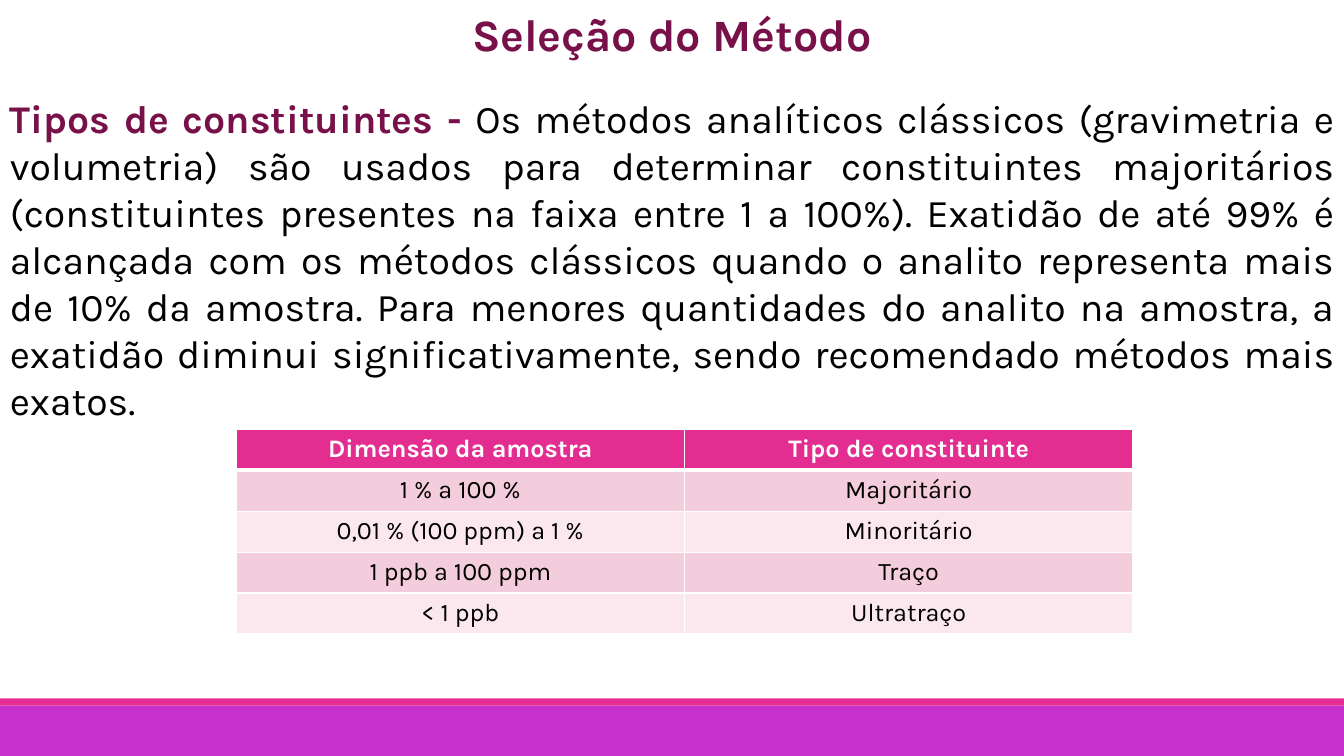
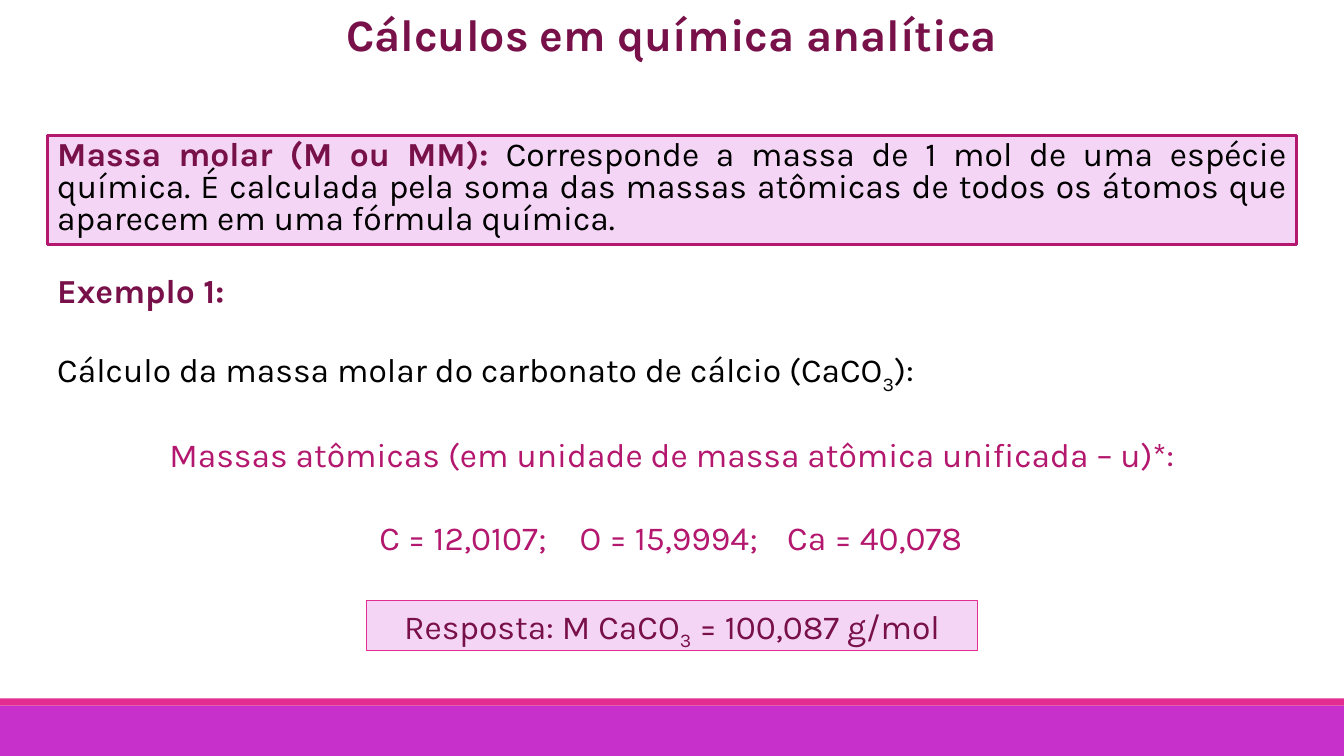
from dataclasses import dataclass
from typing import NamedTuple

from lxml import etree
from pptx import Presentation
from pptx.dml.color import RGBColor
from pptx.enum.shapes import MSO_SHAPE
from pptx.enum.text import MSO_ANCHOR, MSO_AUTO_SIZE, PP_ALIGN
from pptx.oxml.ns import qn
from pptx.util import Emu, Pt

RECT = MSO_SHAPE.RECTANGLE
TOP = MSO_ANCHOR.TOP
GROW = MSO_AUTO_SIZE.SHAPE_TO_FIT_TEXT
LEFT, MID, JUST = PP_ALIGN.LEFT, PP_ALIGN.CENTER, PP_ALIGN.JUSTIFY
SCALE = 9525
WIDE, HIGH = 1280, 720


@dataclass(frozen=True)
class Theme:
    font: str = "Karla"
    plum: str = "781049"
    berry: str = "B4186E"
    pink: str = "E32D91"
    purple: str = "C830CC"
    lilac: str = "F4D5F5"
    rose: str = "F4CDDC"
    blush: str = "FAE8EE"
    black: str = "000000"
    white: str = "FFFFFF"
    title: int = 32
    lead: int = 28
    body: int = 24
    cell: int = 18


T = Theme()


class Run(NamedTuple):
    text: str
    color: str = T.black
    bold: bool = False
    sub: bool = False


class Para(NamedTuple):
    runs: list
    align: int = JUST
    gap: int = 0
    line: float = 1.0


def px(*sizes):
    return [Emu(size * SCALE) for size in sizes]


def rgb(color):
    return RGBColor.from_string(color)


def paint(item, color):
    item.fill.solid()
    item.fill.fore_color.rgb = rgb(color)


def write(frame, size, paras):
    for i, para in enumerate(paras):
        p = frame.add_paragraph() if i else frame.paragraphs[0]
        p.alignment = para.align
        p.line_spacing = para.line
        p.space_before = Pt(para.gap)
        for part in para.runs:
            run = p.add_run()
            run.text = part.text
            font = run.font
            font.name, font.size, font.bold = T.font, Pt(size), part.bold
            font.color.rgb = rgb(part.color)
            if part.sub:
                run._r.get_or_add_rPr().set("baseline", "-25000")


def add_text(slide, place, size, paras):
    frame = slide.shapes.add_textbox(*px(*place)).text_frame
    frame.word_wrap = True
    frame.auto_size = GROW
    write(frame, size, paras)


def add_box(slide, place, fill, edge=None, width=0):
    box = slide.shapes.add_shape(RECT, *px(*place))
    box.shadow.inherit = False
    paint(box, fill)
    if edge:
        box.line.color.rgb = rgb(edge)
        box.line.width = Pt(width)
    else:
        box.line.fill.background()
    return box


def add_card(slide, place, edge, width, para):
    frame = add_box(slide, place, T.lilac, edge, width).text_frame
    frame.word_wrap = True
    frame.vertical_anchor = TOP
    frame.auto_size = GROW
    write(frame, T.body, [para])


def add_edge(cell, sides):
    props = cell._tc.get_or_add_tcPr()
    for i, (side, width) in enumerate(sides.items()):
        line = etree.Element(qn("a:ln" + side), w=str(Pt(width)))
        fill = etree.SubElement(line, qn("a:solidFill"))
        etree.SubElement(fill, qn("a:srgbClr"), val=T.white)
        props.insert(i, line)


def add_grid(slide, left, top, width, height, rows):
    count = len(rows[0])
    place = px(left, top, width * count, height * len(rows))
    grid = slide.shapes.add_table(len(rows), count, *place).table
    for r, row in enumerate(rows):
        head = r == 0
        fill = T.pink if head else (T.blush, T.rose)[r % 2]
        ink = T.white if head else T.black
        sides = {"L": 1, "R": 1, "T": 3 if r == 1 else 1, "B": 3 if head else 1}
        for c, text in enumerate(row):
            cell = grid.cell(r, c)
            paint(cell, fill)
            add_edge(cell, sides)
            write(cell.text_frame, T.cell, [Para([Run(text, ink, head)], MID)])


def add_bands(slide):
    layout = slide.slide_layout
    for holder in list(layout.placeholders):
        holder.element.getparent().remove(holder.element)
    bands = [
        add_box(slide, (0, 672, WIDE, 48), T.purple),
        add_box(slide, (0, 665, WIDE, 7), T.pink),
    ]
    for band in bands:
        layout.shapes.element.append(band.element)


def add_slide(deck, title):
    slide = deck.slides.add_slide(deck.slide_layouts[6])
    if len(deck.slides) == 1:
        add_bands(slide)
    head = Para([Run(title, T.plum, True)], MID)
    add_text(slide, (0, 2, WIDE, 61), T.title, [head])
    return slide


def show_method(deck):
    slide = add_slide(deck, "Seleção do Método")
    add_text(slide, (0, 85, WIDE, 281), T.lead, [Para([
        Run("Tipos de constituintes -", T.plum, True),
        Run(" Os métodos analíticos clássicos (gravimetria e volumetria) são "
            "usados para determinar constituintes majoritários (constituintes "
            "presentes na faixa entre 1 a 100%). Exatidão de até 99% é alcançada "
            "com os métodos clássicos quando o analito representa mais de 10% da "
            "amostra. Para menores quantidades do analito na amostra, a exatidão "
            "diminui significativamente, sendo recomendado métodos mais exatos."),
    ])])
    add_grid(slide, 225, 409, 427, 39, [
        ("Dimensão da amostra", "Tipo de constituinte"),
        ("1 % a 100 %", "Majoritário"),
        ("0,01 % (100 ppm) a 1 %", "Minoritário"),
        ("1 ppb a 100 ppm", "Traço"),
        ("< 1 ppb", "Ultratraço"),
    ])


def show_mass(deck):
    slide = add_slide(deck, "Cálculos em química analítica")
    add_card(slide, (45, 129, 1190, 104), T.berry, 2, Para([
        Run("Massa molar (M ou MM): ", T.plum, True),
        Run("Corresponde a massa de 1 mol de uma espécie química. É calculada "
            "pela soma das massas atômicas de todos os átomos que aparecem em "
            "uma fórmula química."),
    ], line=0.8))
    add_text(slide, (45, 252, 1190, 236), T.body, [
        Para([Run("Exemplo 1:", T.plum, True)]),
        Para([
            Run("Cálculo da massa molar do carbonato de cálcio (CaCO"),
            Run("3", sub=True),
            Run("):"),
        ], gap=28),
        Para([Run("Massas atômicas (em unidade de massa atômica unificada – u)*:",
                  T.berry)], MID, 28),
    ])
    atoms = ("C = 12,0107;", "O = 15,9994;", "Ca = 40,078")
    for i, atom in enumerate(atoms):
        add_text(slide, (343 + 196 * i, 488, 196, 47), T.body,
                 [Para([Run(atom, T.berry)], MID)])
    add_card(slide, (349, 572, 582, 48), T.pink, 0.75, Para([
        Run("Resposta: M CaCO", T.plum),
        Run("3", T.plum, sub=True),
        Run(" = 100,087 g/mol", T.plum),
    ], MID))


def main():
    deck = Presentation()
    deck.slide_width, deck.slide_height = px(WIDE, HIGH)
    show_method(deck)
    show_mass(deck)
    deck.save("out.pptx")


if __name__ == "__main__":
    main()
